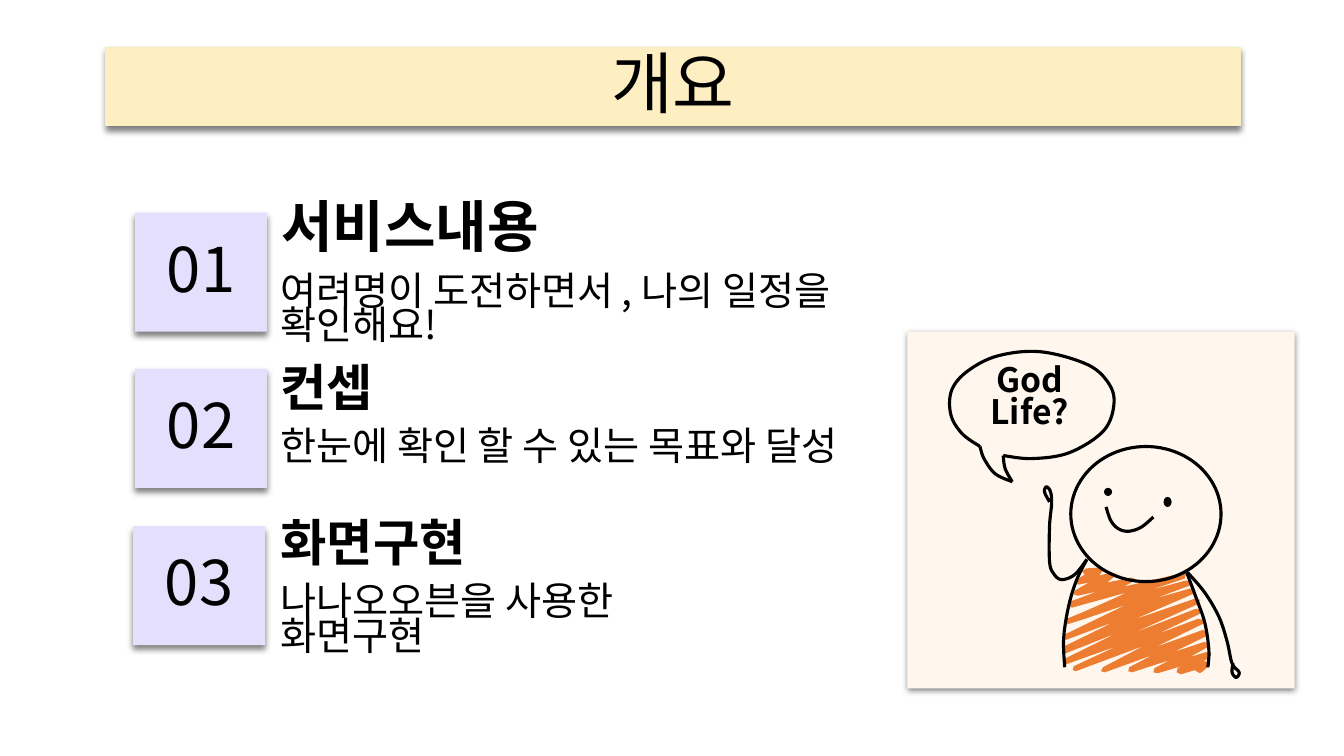
from dataclasses import dataclass

import lxml.etree
import pptx
import pptx.dml.color
import pptx.enum.shapes
import pptx.enum.text
import pptx.oxml.ns
import pptx.shapes.autoshape
import pptx.slide
import pptx.util
from pptx.util import Inches

FONT = "Noto Sans CJK KR"
BLACK, CREAM, LILAC, ORANGE = "000000", "FFF7EE", "E3DFFD", "ED7D31"
STROKE = 2.25
Box = tuple[float, float, float, float]
Points = list[tuple[float, float]]
Shape = pptx.shapes.autoshape.Shape
ALIGN = pptx.enum.text.PP_ALIGN
ANCHOR = pptx.enum.text.MSO_ANCHOR
PRESET = pptx.enum.shapes.MSO_SHAPE


@dataclass
class Section:
    number: str
    heading: str
    body: str
    number_box: Box
    heading_box: Box
    body_box: Box
    heading_size: int = 36


SECTIONS = [
    Section("01", "서비스내용", "여려명이 도전하면서 , 나의 일정을 확인해요!",
            (1.34, 2.11, 1.31, 1.18), (2.66, 1.7, 6.94, 1.01), (2.65, 2.62, 6.64, 0.75), 40),
    Section("02", "컨셉", "한눈에 확인 할 수 있는 목표와 달성",
            (1.34, 3.66, 1.31, 1.18), (2.65, 3.64, 8.68, 0.63), (2.65, 4.16, 6.09, 0.75)),
    Section("03", "화면구현", "나나오오븐을 사용한 화면구현",
            (1.32, 5.22, 1.31, 1.18), (2.65, 5.18, 4.26, 0.63), (2.65, 5.7, 4.26, 0.75)),
]

SHIRT: Points = [
    (10.91, 5.63), (10.95, 5.65), (10.9, 5.71), (11.03, 5.68), (11.08, 5.7), (10.98, 5.78),
    (11.22, 5.73), (11.27, 5.75), (11.15, 5.82), (11.71, 5.69), (11.76, 5.7), (11.75, 5.74),
    (11.39, 5.86), (11.76, 5.76), (11.81, 5.77), (11.8, 5.81), (11.45, 5.94), (11.8, 5.84),
    (11.85, 5.85), (11.84, 5.89), (11.24, 6.15), (11.85, 5.94), (11.9, 5.95), (11.89, 5.99),
    (11.22, 6.29), (11.86, 6.04), (11.91, 6.05), (11.9, 6.09), (11.48, 6.29), (11.88, 6.14),
    (11.94, 6.15), (11.93, 6.19), (11.46, 6.42), (11.93, 6.25), (11.98, 6.27), (11.97, 6.31),
    (11.64, 6.47), (11.94, 6.37), (11.99, 6.38), (11.98, 6.42), (11.8, 6.52), (11.96, 6.47),
    (12.01, 6.48), (12, 6.52), (11.94, 6.56), (12, 6.57), (12, 6.6), (11.93, 6.66),
    (11.9, 6.68), (11.85, 6.65), (11.71, 6.69), (11.67, 6.67), (11.68, 6.63), (11.72, 6.61),
    (11.48, 6.68), (11.44, 6.67), (11.45, 6.63), (11.6, 6.55), (11.23, 6.67), (11.19, 6.66),
    (11.2, 6.62), (11.43, 6.5), (10.96, 6.67), (10.92, 6.66), (10.94, 6.62), (11.34, 6.41),
    (10.67, 6.66), (10.64, 6.65), (10.65, 6.61), (11.08, 6.41), (10.55, 6.6), (10.55, 6.54),
    (11.08, 6.28), (10.55, 6.49), (10.54, 6.42), (11.05, 6.17), (10.57, 6.35), (10.53, 6.34),
    (10.55, 6.3), (11.17, 6), (10.76, 6.14), (10.6, 6.19), (10.56, 6.18), (10.58, 6.14),
    (10.75, 6.07), (11.11, 5.91), (11.17, 5.88), (10.63, 6.03), (10.6, 6.01), (10.61, 5.97),
    (10.88, 5.87), (10.69, 5.91), (10.65, 5.9), (10.66, 5.86), (10.8, 5.78), (10.7, 5.8),
    (10.67, 5.79), (10.68, 5.75), (10.76, 5.7), (10.73, 5.67), (10.77, 5.64),
]
RAISED_ARM: Points = [
    (10.78, 5.55), (10.66, 5.7), (10.53, 5.75), (10.45, 5.69), (10.41, 5.57), (10.41, 5.22),
    (10.43, 5), (10.42, 4.88), (10.38, 4.83), (10.36, 4.88), (10.41, 4.98),
]
LOWERED_ARM: Points = [
    (11.78, 5.68), (11.95, 5.88), (12.09, 6.12), (12.17, 6.36), (12.22, 6.58), (12.29, 6.67),
    (12.26, 6.72), (12.22, 6.67), (12.23, 6.58),
]
LEFT_SIDE: Points = [(10.78, 5.55), (10.68, 5.75), (10.6, 6.01), (10.55, 6.33), (10.56, 6.62)]
RIGHT_SIDE: Points = [(11.77, 5.68), (11.86, 5.92), (11.95, 6.18), (11.99, 6.45), (11.98, 6.62)]
BALLOON: Points = [
    (9.95, 4.52), (10.24, 4.55), (10.61, 4.49), (10.95, 4.27), (11.05, 3.99), (10.98, 3.78),
    (10.77, 3.61), (10.32, 3.49), (9.9, 3.53), (9.6, 3.68), (9.44, 3.87), (9.43, 4.11),
    (9.54, 4.3), (9.72, 4.43),
]
TAIL_LEFT: Points = [(9.72, 4.43), (9.76, 4.55), (9.87, 4.7), (10.04, 4.78)]
TAIL_RIGHT: Points = [(10.04, 4.78), (9.97, 4.65), (9.95, 4.52)]
SMILE: Points = [(10.97, 5.03), (11.02, 5.17), (11.1, 5.25), (11.2, 5.27), (11.32, 5.23), (11.44, 5.13)]
HEAD: Box = (10.62, 4.43, 1.49, 1.34)
EYES: list[Box] = [(10.95, 4.84, 0.08, 0.08), (11.54, 4.93, 0.08, 0.1)]


def color(value: str) -> pptx.dml.color.RGBColor:
    return pptx.dml.color.RGBColor.from_string(value)


def paint(shape: Shape, fill: str | None, line: str | None = None, width: float = STROKE) -> None:
    shape.shadow.inherit = False
    if fill:
        shape.fill.solid()
        shape.fill.fore_color.rgb = color(fill)
    else:
        shape.fill.background()
    if line:
        shape.line.color.rgb = color(line)
        shape.line.width = pptx.util.Pt(width)
    else:
        shape.line.fill.background()


def add_drop_shadow(shape: Shape, distance: float = 3) -> None:
    qn = pptx.oxml.ns.qn
    effects = shape.element.spPr.find(qn("a:effectLst"))
    shadow = lxml.etree.SubElement(
        effects, qn("a:outerShdw"), blurRad=str(pptx.util.Pt(4.5)),
        dist=str(pptx.util.Pt(distance)), dir="5400000", algn="t", rotWithShape="0")
    shade = lxml.etree.SubElement(shadow, qn("a:srgbClr"), val=BLACK)
    lxml.etree.SubElement(shade, qn("a:alpha"), val="50000")


def write(shape: Shape, text: str, size: float, bold: bool = False, align: ALIGN = ALIGN.CENTER,
          anchor: ANCHOR = ANCHOR.MIDDLE, spacing: float = 0.9, margin: float = 0.13) -> None:
    frame = shape.text_frame
    frame.word_wrap = True
    frame.auto_size = pptx.enum.text.MSO_AUTO_SIZE.NONE
    frame.vertical_anchor = anchor
    frame.margin_left = frame.margin_right = frame.margin_top = frame.margin_bottom = Inches(margin)
    frame.text = text
    paragraph = frame.paragraphs[0]
    paragraph.alignment = align
    paragraph.line_spacing = spacing
    font = paragraph.font
    font.size, font.bold, font.name = pptx.util.Pt(size), bold, FONT
    font.color.rgb = color(BLACK)
    properties = paragraph._p.pPr.find(pptx.oxml.ns.qn("a:defRPr"))
    lxml.etree.SubElement(properties, pptx.oxml.ns.qn("a:ea"), typeface=FONT)


def add_preset(slide: pptx.slide.Slide, preset: PRESET, box: Box,
               fill: str | None, line: str | None = None) -> Shape:
    shape = slide.shapes.add_shape(preset, *map(Inches, box))
    paint(shape, fill, line)
    return shape


def add_text(slide: pptx.slide.Slide, box: Box, text: str, size: float, **style) -> None:
    write(slide.shapes.add_textbox(*map(Inches, box)), text, size, align=ALIGN.LEFT, **style)


def smooth_curve(points: Points, steps: int = 8) -> Points:
    """Return a Catmull-Rom curve that passes through all the points."""
    padded = [points[0], *points, points[-1]]
    curve = [points[0]]
    for a, b, c, d in zip(padded, padded[1:], padded[2:], padded[3:]):
        for step in range(1, steps + 1):
            t = step / steps
            curve.append(tuple(
                (2 * q + (r - p) * t + (2 * p - 5 * q + 4 * r - s) * t**2
                 + (3 * q - p - 3 * r + s) * t**3) / 2
                for p, q, r, s in zip(a, b, c, d)))
    return curve


def add_outline(slide: pptx.slide.Slide, contours: list[Points], closed: bool = False) -> Shape:
    scaled = [[(Inches(x), Inches(y)) for x, y in contour] for contour in contours]
    builder = slide.shapes.build_freeform(*scaled[0][0])
    for index, contour in enumerate(scaled):
        if index:
            builder.move_to(*contour[0])
        builder.add_line_segments(contour[1:], close=closed)
    return builder.convert_to_shape()


def add_title(slide: pptx.slide.Slide) -> None:
    title = slide.shapes.title
    title.left, title.top, title.width, title.height = map(Inches, (1.05, 0.47, 11.25, 0.78))
    paint(title, "FDEFC2", "F5F0BB", 0.75)
    add_drop_shadow(title)
    write(title, "개요", 48)


def add_section(slide: pptx.slide.Slide, section: Section) -> None:
    add_text(slide, section.body_box, section.body, 28, anchor=ANCHOR.TOP, spacing=0.74)
    number = add_preset(slide, PRESET.RECTANGLE, section.number_box, LILAC)
    add_drop_shadow(number)
    write(number, section.number, 44)
    add_text(slide, section.heading_box, section.heading, section.heading_size,
             bold=True, anchor=ANCHOR.BOTTOM)


def add_doodle(slide: pptx.slide.Slide) -> None:
    card = add_preset(slide, PRESET.RECTANGLE, (9, 3.29, 3.84, 3.54), CREAM)
    add_drop_shadow(card, 1.5)
    paint(add_outline(slide, [SHIRT], closed=True), ORANGE)
    for strokes in ([RAISED_ARM, LOWERED_ARM, LEFT_SIDE, RIGHT_SIDE],
                    [BALLOON, TAIL_LEFT, TAIL_RIGHT], [SMILE]):
        paint(add_outline(slide, [smooth_curve(stroke) for stroke in strokes]), None, BLACK)
    add_preset(slide, PRESET.OVAL, HEAD, None, BLACK)
    for eye in EYES:
        add_preset(slide, PRESET.OVAL, eye, BLACK)
    speech = add_preset(slide, PRESET.OVAL, (9.47, 3.57, 1.48, 0.78), CREAM)
    write(speech, "God Life?", 24, bold=True, spacing=0.8, margin=0.05)


def main() -> None:
    presentation = pptx.Presentation()
    presentation.slide_width, presentation.slide_height = Inches(13.33), Inches(7.5)
    slide = presentation.slides.add_slide(presentation.slide_layouts[5])
    add_title(slide)
    for section in SECTIONS:
        add_section(slide, section)
    add_doodle(slide)
    presentation.save("out.pptx")


if __name__ == "__main__":
    main()
